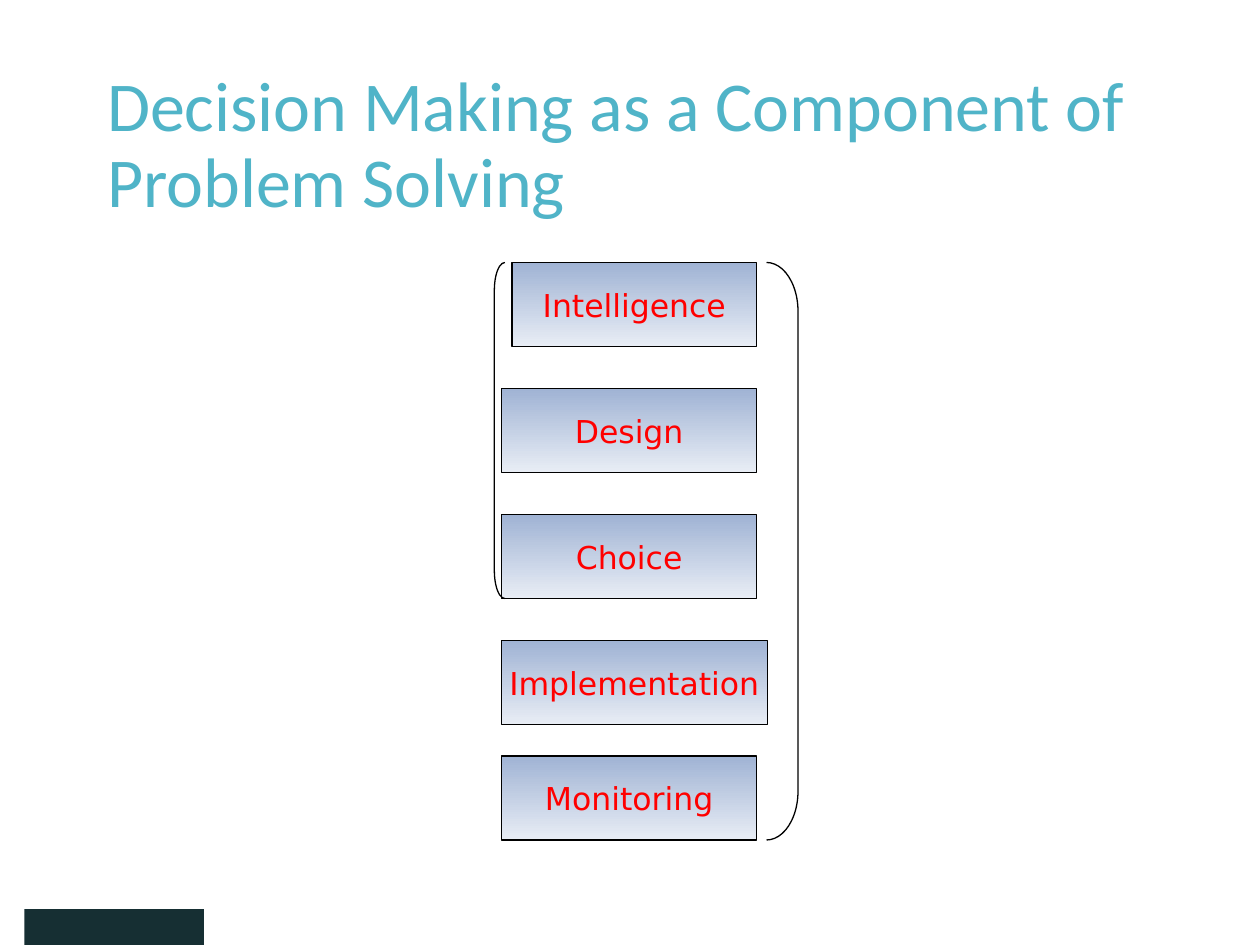
import pptx
import pptx.dml.color
import pptx.enum.shapes
import pptx.enum.text
import pptx.util

Pt = pptx.util.Pt
RGBColor = pptx.dml.color.RGBColor
MSO_SHAPE = pptx.enum.shapes.MSO_SHAPE
PP_ALIGN = pptx.enum.text.PP_ALIGN
MSO_ANCHOR = pptx.enum.text.MSO_ANCHOR

BLACK = RGBColor(0x00, 0x00, 0x00)
RED = RGBColor(0xFF, 0x00, 0x00)
TEAL = RGBColor(0x50, 0xB4, 0xC8)
DARK_GREEN = RGBColor(0x16, 0x2F, 0x33)
BLUE_TOP = RGBColor(0xA0, 0xB3, 0xD4)
BLUE_BOTTOM = RGBColor(0xE8, 0xED, 0xF5)

STAGE_HEIGHT = 48
STAGES = [
    ("Intelligence", 6, 0, 140),
    ("Design", 0, 72, 146),
    ("Choice", 0, 144, 146),
    ("Implementation", 0, 216, 152),
    ("Monitoring", 0, 282, 146),
]


def add_preset(slide, preset, left, top, width, height):
    shape = slide.shapes.add_shape(preset, Pt(left), Pt(top), Pt(width), Pt(height))
    shape.shadow.inherit = False
    return shape


def outline(shape):
    shape.line.color.rgb = BLACK
    shape.line.width = Pt(0.75)


def add_footer_bar(slide, left, top, width, height):
    bar = add_preset(slide, MSO_SHAPE.RECTANGLE, left, top, width, height)
    bar.fill.solid()
    bar.fill.fore_color.rgb = DARK_GREEN
    bar.line.fill.background()


def fill_title(slide, left, top, width, height):
    title = slide.shapes.title
    title.left, title.top = Pt(left), Pt(top)
    title.width, title.height = Pt(width), Pt(height)
    title.text_frame.text = "Decision Making as a Component of Problem Solving"
    title.text_frame.word_wrap = True
    title.text_frame.auto_size = pptx.enum.text.MSO_AUTO_SIZE.NONE
    title.text_frame.vertical_anchor = MSO_ANCHOR.MIDDLE
    heading = title.text_frame.paragraphs[0]
    heading.alignment = PP_ALIGN.LEFT
    heading.line_spacing = 0.9
    heading.space_before = Pt(0)
    heading.font.name = "Calibri"
    heading.font.size = Pt(40)
    heading.font.color.rgb = TEAL


def add_stage(slide, name, left, top, width, height):
    stage = add_preset(slide, MSO_SHAPE.RECTANGLE, left, top, width, height)
    stage.fill.gradient()
    stage.fill.gradient_angle = 270
    for stop, position, color in zip(stage.fill.gradient_stops, (0, 1), (BLUE_TOP, BLUE_BOTTOM)):
        stop.position = position
        stop.color.rgb = color
    outline(stage)
    stage.text_frame.text = name
    stage.text_frame.word_wrap = False
    stage.text_frame.vertical_anchor = MSO_ANCHOR.MIDDLE
    label = stage.text_frame.paragraphs[0]
    label.alignment = PP_ALIGN.CENTER
    label.font.name = "DejaVu Sans"
    label.font.size = Pt(18)
    label.font.color.rgb = RED


def add_bracket(slide, preset, left, top, width, height, curve_height):
    bracket = add_preset(slide, preset, left, top, width, height)
    bracket.adjustments[0] = curve_height / width
    bracket.fill.background()
    outline(bracket)


def add_process(slide, left, top, width, height):
    for name, indent, offset, stage_width in STAGES:
        add_stage(slide, name, left + 4 + indent, top + offset, stage_width, STAGE_HEIGHT)
    decision_height = STAGES[2][2] + STAGE_HEIGHT
    add_bracket(slide, MSO_SHAPE.LEFT_BRACKET, left, top, 6, decision_height, 16)
    add_bracket(slide, MSO_SHAPE.RIGHT_BRACKET, left + width - 18, top, 18, height, 28)


def main():
    presentation = pptx.Presentation()
    presentation.slide_width, presentation.slide_height = Pt(720), Pt(540)
    slide = presentation.slides.add_slide(presentation.slide_layouts[5])
    add_footer_bar(slide, 14, 519.5, 102.5, 20.5)
    fill_title(slide, 54, 30, 612, 108)
    add_process(slide, 282.5, 150, 173.5, 330)
    presentation.save("out.pptx")


if __name__ == "__main__":
    main()
